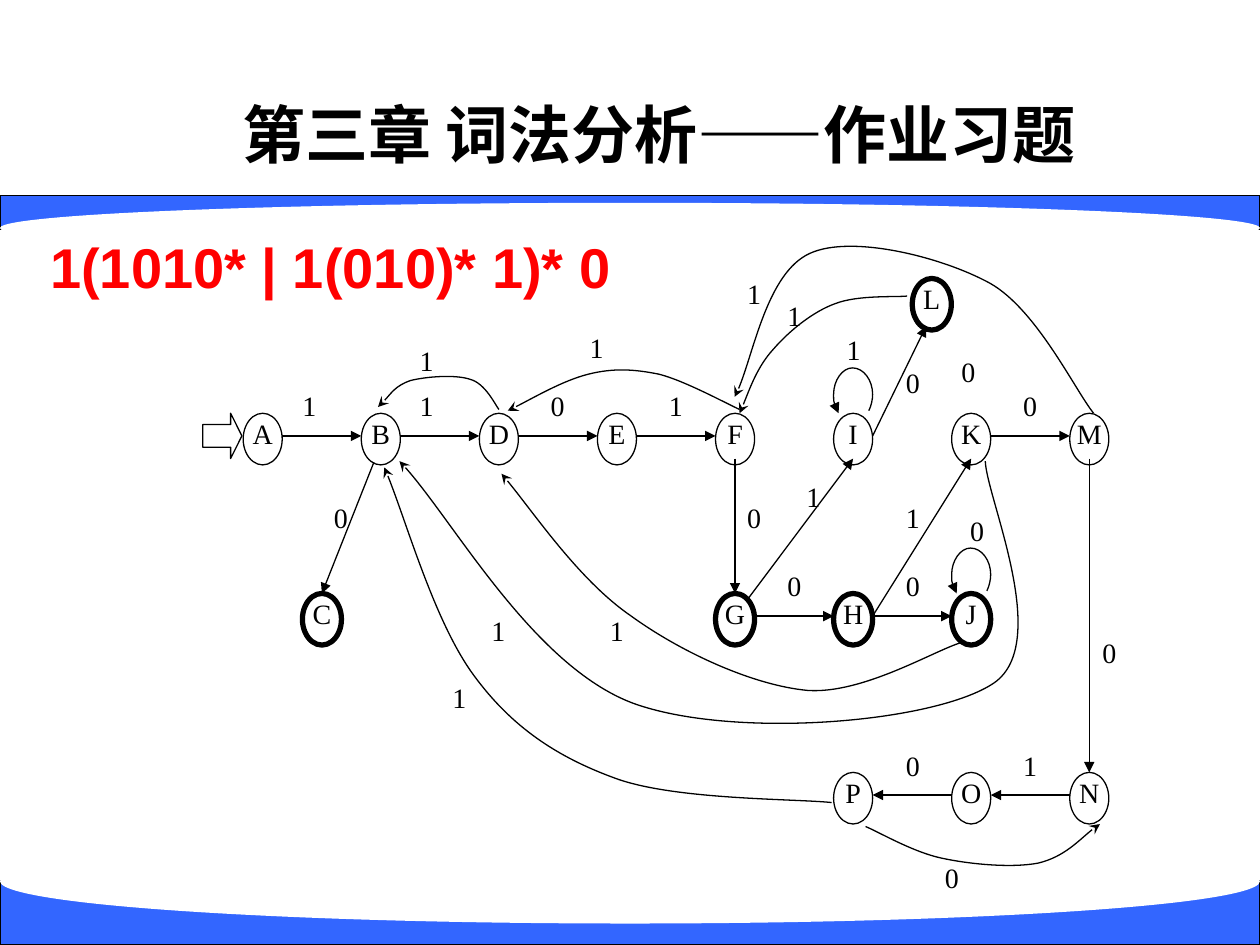
from lxml import etree
from pptx import Presentation
from pptx.dml.color import RGBColor
from pptx.enum.shapes import MSO_CONNECTOR, MSO_SHAPE
from pptx.enum.text import MSO_ANCHOR, PP_ALIGN
from pptx.oxml.ns import qn
from pptx.util import Inches, Pt

OVAL, RECT, ARROW = MSO_SHAPE.OVAL, MSO_SHAPE.RECTANGLE, MSO_SHAPE.RIGHT_ARROW
STRAIGHT = MSO_CONNECTOR.STRAIGHT
LEFT, CENTER = PP_ALIGN.LEFT, PP_ALIGN.CENTER
TOP, MIDDLE = MSO_ANCHOR.TOP, MSO_ANCHOR.MIDDLE

COLORS = {"ink": "000000", "paper": "FFFFFF", "band": "3366FF", "regex": "FF0000"}

# Node grid, relative to the graph box
COLS = [0.93 + i * 6.56 / 7 for i in range(8)]
ROWS = [2.28, 3.71, 5.13]
WIDE, HIGH = 0.31, 0.41
MID, LOW = 0.18, 0.36  # heights inside a node where edges attach
FINAL = "CGHJL"
NODES = {name: (COLS[i], ROWS[0]) for i, name in enumerate("ABDEFIKM")}
NODES |= {"C": (1.4, ROWS[1]), "L": (6.24, 1.21)}
NODES |= {name: (COLS[i], ROWS[1]) for i, name in ((5, "H"), (6, "J"))}
NODES |= {name: (COLS[i], ROWS[2]) for i, name in ((5, "P"), (6, "O"), (7, "N"))}
NODES["G"] = (COLS[4], ROWS[1])  # last, so that it covers the start of an edge

# Points inside a node where an edge may start or end
PORTS = {"left": (0, MID), "right": (WIDE, MID), "top": (WIDE / 2, 0),
         "mid": (WIDE / 2, MID), "low": (WIDE / 2, LOW),
         "exit": (0.1, 0.39), "entry": (0.11, 0.38)}
EDGES = [(a, "right", b, "left") for a, b in ("AB", "BD", "DE", "EF", "KM", "GH", "HJ")]
EDGES += [(a, "left", b, "right") for a, b in ("NO", "OP")]
EDGES += [(a, "low", b, "top") for a, b in ("FG", "MN")]
EDGES += [("B", "exit", "C", "top"), ("G", "mid", "I", "low"),
          ("H", "right", "K", "low"), ("I", "right", "L", "entry")]

# Start point, then two control points and an end point for each segment
CURVES = [
    [(2.96, 2.25), (2.93, 2.21), (2.85, 2.04), (2.73, 2.01),
     (2.61, 1.97), (2.38, 1.99), (2.26, 2.02), (2.14, 2.06), (2.05, 2.19), (2, 2.23)],
    [(4.87, 2.25), (4.76, 2.2), (4.43, 2.02), (4.23, 1.97),
     (4.03, 1.93), (3.87, 1.92), (3.67, 1.97), (3.47, 2.02), (3.16, 2.2), (3.03, 2.26)],
    [(6.63, 4.1), (6.42, 4.16), (5.85, 4.51), (5.41, 4.48),
     (4.98, 4.44), (4.41, 4.18), (4.01, 3.89), (3.6, 3.61), (3.19, 3), (2.98, 2.76)],
    [(6.82, 2.66), (6.83, 2.95), (7.35, 4.1), (6.89, 4.42),
     (6.42, 4.74), (4.81, 4.87), (4.02, 4.58), (3.23, 4.28), (2.56, 3.06), (2.17, 2.66)],
    [(6.2, 1.35), (6.11, 1.36), (5.81, 1.34), (5.63, 1.41),
     (5.46, 1.47), (5.27, 1.62), (5.14, 1.77), (5.01, 1.91), (4.92, 2.17), (4.87, 2.28)],
    [(7.68, 2.28), (7.54, 2.11), (7.23, 1.46), (6.86, 1.25),
     (6.48, 1.04), (5.76, 0.86), (5.43, 1.01), (5.09, 1.16), (4.96, 1.92), (4.83, 2.15)],
    [(5.87, 5.56), (5.97, 5.6), (6.24, 5.76), (6.47, 5.81),
     (6.7, 5.86), (7.03, 5.89), (7.24, 5.85), (7.45, 5.8), (7.63, 5.6), (7.73, 5.54)],
    [(5.6, 5.37), (5.31, 5.34), (4.36, 5.35), (3.89, 5.18),
     (3.42, 5.01), (3.06, 4.77), (2.76, 4.36), (2.45, 3.94), (2.2, 3.05), (2.05, 2.71)],
]
# Self-loop, relative to its node
LOOP = [(0.28, -0.02), (0.3, -0.06), (0.31, -0.11), (0.31, -0.15),
        (0.31, -0.26), (0.24, -0.36), (0.15, -0.36), (0.07, -0.36), (0, -0.26),
        (0, -0.15), (0, -0.09), (0.01, -0.04), (0.04, 0)]

# (width, height) of the box: text, left, top
LABELS = {
    (0.16, 0.36): [("1", 1.4, 2.1), ("1", 2.33, 2.1), ("1", 2.33, 1.74)],
    (0.31, 0.36): [("0", 1.55, 2.99), ("0", 3.27, 2.1), ("1", 4.21, 2.1),
                   ("0", 4.83, 2.99), ("1", 5.3, 2.82), ("1", 6.09, 2.99),
                   ("0", 7.02, 2.1), ("0", 7.65, 4.06)],
    (0.31, 0.27): [("1", 3.58, 1.64), ("1", 5.62, 1.66), ("0", 6.6, 3.09),
                   ("1", 3.74, 3.89), ("1", 2.8, 3.89), ("1", 5.15, 1.39),
                   ("1", 4.83, 1.21), ("1", 7.02, 4.96), ("0", 6.09, 4.96),
                   ("0", 6.4, 5.85), ("1", 2.49, 4.42)],
    (0.31, 0.23): [("0", 5.15, 3.53), ("0", 6.09, 3.53), ("0", 6.53, 1.83),
                   ("0", 6.09, 1.92)],
}


def paint(name):
    return RGBColor.from_string(COLORS[name])


def add_form(slide, kind, x, y, w, h, fill="paper", weight=0.75):
    form = slide.shapes.add_shape(kind, Inches(x), Inches(y), Inches(w), Inches(h))
    form.shadow.inherit = False
    form.fill.solid()
    form.fill.fore_color.rgb = paint(fill)
    if weight:
        form.line.color.rgb = paint("ink")
        form.line.width = Pt(weight)
    else:
        form.line.fill.background()
    return form


def set_text(shape, text, size, face, color="ink", bold=False, align=CENTER,
             anchor=MIDDLE, space=None, inset=True):
    frame = shape.text_frame
    frame.word_wrap = True
    frame.vertical_anchor = anchor
    if not inset:
        frame.margin_left = frame.margin_right = 0
        frame.margin_top = frame.margin_bottom = 0
    para = frame.paragraphs[0]
    para.text = text
    para.alignment = align
    para.line_spacing = space
    font = para.runs[0].font
    font.size, font.name, font.bold = Pt(size), face, bold
    font.color.rgb = paint(color)


def add_box(slide, x, y, w, h, *args, **style):
    box = slide.shapes.add_textbox(Inches(x), Inches(y), Inches(w), Inches(h))
    set_text(box, *args, **style)


def set_line(shape, head):
    """Thin dark line with an arrowhead at its end and no shadow."""
    shape.line.color.rgb = paint("ink")
    shape.line.width = Pt(0.75)
    line = shape.line._get_or_add_ln()
    etree.SubElement(line, qn("a:tailEnd"), type=head)
    props = shape._element.spPr
    if props.find(qn("a:effectLst")) is None:
        etree.SubElement(props, qn("a:effectLst"))


def add_curve(slide, x, y, points, head="stealth"):
    dots = [(Inches(x + px), Inches(y + py)) for px, py in points]
    form = slide.shapes.build_freeform(*dots[0])
    form.add_line_segments(dots[1:], close=False)
    curve = form.convert_to_shape()
    steps = list(curve._element.iter(qn("a:lnTo")))
    for i in range(0, len(steps), 3):  # three points make one Bezier segment
        bend = etree.Element(qn("a:cubicBezTo"))
        steps[i].addprevious(bend)
        for step in steps[i:i + 3]:
            bend.append(step[0])
            step.getparent().remove(step)
    curve.shadow.inherit = False
    curve.fill.background()
    set_line(curve, head)


def add_edge(slide, x, y, a, start, b, end):
    ends = []
    for name, port in ((a, start), (b, end)):
        ends += [Inches(o + n + p) for o, n, p in zip((x, y), NODES[name], PORTS[port])]
    set_line(slide.shapes.add_connector(STRAIGHT, *ends), "triangle")


def add_node(slide, x, y, name):
    left, top = NODES[name]
    node = add_form(slide, OVAL, x + left, y + top, WIDE, HIGH,
                    weight=3 if name in FINAL else 0.75)
    set_text(node, name, 16, "Times New Roman", anchor=TOP, space=0.88, inset=False)


def add_bands(slide, x, y, w):
    add_form(slide, RECT, x, y + 1.55, w, 0.27, "band")
    add_form(slide, OVAL, x, y + 1.61, w, 0.4, weight=0)
    add_form(slide, RECT, x, y + 6.99, w, 0.51, "band")
    add_form(slide, OVAL, x, y + 6.66, w, 0.67, weight=0)


def add_graph(slide, x, y):
    *names, cover = NODES
    for name in names:
        add_node(slide, x, y, name)
    start = add_form(slide, ARROW, x + 0.61, y + ROWS[0], 0.31, 0.36)
    start.adjustments[1] = 0.288
    for points in CURVES:
        add_curve(slide, x, y, points)
    for name in "IJ":
        left, top = NODES[name]
        add_curve(slide, x + left, y + top, LOOP, "triangle")
    for edge in EDGES:
        add_edge(slide, x, y, *edge)
    add_node(slide, x, y, cover)
    for (w, h), marks in LABELS.items():
        for text, left, top in marks:
            add_box(slide, x + left, y + top, w, h, text, 16, "Times New Roman",
                    align=LEFT if w < WIDE else CENTER, anchor=TOP, space=0.96,
                    inset=False)


def main():
    deck = Presentation()
    deck.slide_width, deck.slide_height = Inches(10), Inches(7.5)
    slide = deck.slides.add_slide(deck.slide_layouts[6])
    add_bands(slide, 0, 0, 10)
    add_box(slide, 0.98, 0.72, 8.5, 0.67, "第三章 词法分析——作业习题", 36, "Arial",
            bold=True)
    add_box(slide, 0.3, 1.56, 6.32, 1.1, "1(1010* | 1(010)* 1)* 0", 32, "Arial",
            color="regex", bold=True, align=LEFT)
    add_graph(slide, 1, 1)
    deck.save("out.pptx")


if __name__ == "__main__":
    main()
